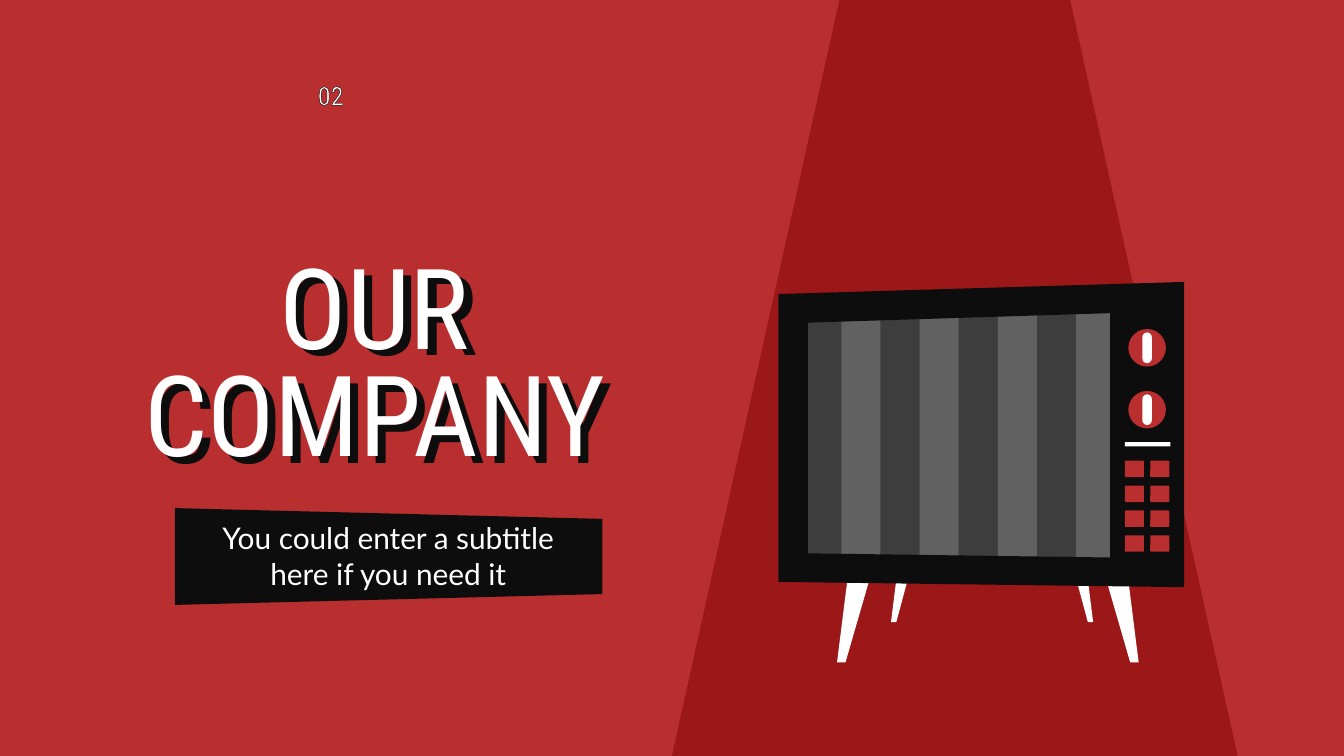
from lxml.etree import SubElement
from pptx import Presentation
from pptx.dml.color import RGBColor
from pptx.enum.shapes import MSO_SHAPE
from pptx.enum.text import MSO_ANCHOR, MSO_AUTO_SIZE, PP_ALIGN
from pptx.oxml import parse_xml
from pptx.oxml.ns import nsdecls, qn
from pptx.util import Cm, Pt

THEME = {
    "red": "B92F2F", "beam": "9C1717", "ink": "0D0D0D", "white": "FFFFFF",
    "dark": "3D3D3D", "light": "616161",
    "title": {"name": "Roboto Condensed", "size": Pt(60), "bold": False},
    "subtitle": {"name": "Lato", "size": Pt(16)},
    "number": {"name": "Roboto Condensed", "size": Pt(14)},
}
SIZE = (25.4, 14.29)

TITLE = ("OUR COMPANY", (1.02, 5.72, 12.12, 2.57))
SUBTITLE = ("You could enter a subtitle here if you need it", (3.58, 9.8, 7.52, 1.42))
NUMBER = ("02", (5.16, 1.37, 2.18, 4.57))
BEAM = (12.7, 0, 10.69, 14.29)
BANNER = (6.43, 6.48, 1.83, 8.08)

STRIPES = {"left": 15.16, "top": 5.87, "width": 0.75, "height": 4.85, "step": 0.74, "count": 8}
LEGS = [
    (18.67, [(16.05, 10.69), (15.82, 12.52), (15.98, 12.52), (16.51, 10.69)]),
    (18.75, [(16.97, 10.72), (16.84, 11.76), (16.94, 11.76), (17.22, 10.72)]),
]
CASE = [(22.38, 5.33), (14.71, 5.56), (14.71, 11), (22.38, 11.1)]
SCREEN = [(20.98, 5.92), (20.98, 10.54), (15.27, 10.46), (15.27, 6.1)]
KNOB_CENTER, KNOB_TOPS, KNOB_SIZE = 21.68, (6.22, 7.39), 0.71
POINTER = (0.18, 0.58)
BUTTON_LEFTS, BUTTON_TOP, BUTTON_STEP, BUTTON_ROWS = (21.26, 21.74), 8.71, 0.47, 4
BUTTON = (0.36, 0.31)
DIVIDER = (21.26, 8.36, 0.86, 0.08)


def paint(sp, color):
    sp.shadow.inherit = False
    sp.fill.solid()
    sp.fill.fore_color.rgb = RGBColor.from_string(THEME[color])
    sp.line.fill.background()


def add_shape(shapes, kind, box, color, adj=None):
    sp = shapes.add_shape(kind, *map(Cm, box))
    if adj is not None:
        sp.adjustments[0] = adj
    paint(sp, color)
    return sp


def add_outline(shapes, color, *contours):
    builder = None
    for points in contours:
        start, *rest = [(Cm(x), Cm(y)) for x, y in points]
        if builder is None:
            builder = shapes.build_freeform(*start, scale=1.0)
        else:
            builder.move_to(*start)
        builder.add_line_segments(rest, close=True)
    paint(builder.convert_to_shape(), color)


def write(sp, text, style, anchor, inset):
    tf = sp.text_frame
    frame = {"word_wrap": True, "auto_size": MSO_AUTO_SIZE.NONE, "vertical_anchor": anchor}
    for side in ("left", "right", "top", "bottom"):
        frame[f"margin_{side}"] = Cm(inset)
    for name, value in frame.items():
        setattr(tf, name, value)
    p = tf.paragraphs[0]
    p.alignment = PP_ALIGN.CENTER
    r = p.add_run()
    r.text = text
    for name, value in THEME[style].items():
        setattr(r.font, name, value)
    r.font.color.rgb = RGBColor.from_string(THEME["white"])
    return p, r


def add_text(shapes, content, style, anchor, inset):
    text, box = content
    return write(shapes.add_textbox(*map(Cm, box)), text, style, anchor, inset)


def add_title(s):
    text, box = TITLE
    sp = s.shapes.title
    for name, value in zip(("left", "top", "width", "height"), box):
        setattr(sp, name, Cm(value))
    p, r = write(sp, text, "title", MSO_ANCHOR.MIDDLE, 0.25)
    p.line_spacing = 0.8
    effects = SubElement(sp._element.spPr, qn("a:effectLst"))
    shadow = SubElement(effects, qn("a:outerShdw"), dist=str(Cm(0.2)), dir=str(40 * 60000),
                        algn="bl", rotWithShape="0")
    SubElement(shadow, qn("a:srgbClr"), val=THEME["ink"])


def add_number(s):
    p, r = add_text(s.shapes, NUMBER, "number", MSO_ANCHOR.TOP, 0.13)
    r.font._element.insert(0, parse_xml(
        f'<a:ln {nsdecls("a")} w="{Pt(1.5)}"><a:solidFill>'
        f'<a:srgbClr val="{THEME["ink"]}"/></a:solidFill></a:ln>'))


def add_television(s):
    tv = s.shapes.add_group_shape().shapes
    for i in range(STRIPES["count"]):
        box = (STRIPES["left"] + i * STRIPES["step"], STRIPES["top"],
               STRIPES["width"], STRIPES["height"])
        add_shape(tv, MSO_SHAPE.RECTANGLE, box, ("dark", "light")[i % 2])
    for axis, leg in LEGS:
        add_outline(tv, "white", leg)
        add_outline(tv, "white", [(2 * axis - x, y) for x, y in leg])
    add_outline(tv, "ink", SCREEN, CASE)
    w, h = POINTER
    for top in KNOB_TOPS:
        knob = (KNOB_CENTER - KNOB_SIZE / 2, top, KNOB_SIZE, KNOB_SIZE)
        pointer = (KNOB_CENTER - w / 2, top + (KNOB_SIZE - h) / 2, w, h)
        add_shape(tv, MSO_SHAPE.OVAL, knob, "red")
        add_shape(tv, MSO_SHAPE.ROUNDED_RECTANGLE, pointer, "white", 0.5)
    for row in range(BUTTON_ROWS):
        for left in BUTTON_LEFTS:
            box = (left, BUTTON_TOP + row * BUTTON_STEP, *BUTTON)
            add_shape(tv, MSO_SHAPE.ROUNDED_RECTANGLE, box, "red", 0.06)
    add_shape(tv, MSO_SHAPE.RECTANGLE, DIVIDER, "white")


def main():
    prs = Presentation()
    prs.slide_width, prs.slide_height = map(Cm, SIZE)
    s = prs.slides.add_slide(prs.slide_layouts[5])
    s.background.fill.solid()
    s.background.fill.fore_color.rgb = RGBColor.from_string(THEME["red"])
    add_shape(s.shapes, MSO_SHAPE.TRAPEZOID, BEAM, "beam", 0.296)
    add_shape(s.shapes, MSO_SHAPE.TRAPEZOID, BANNER, "ink", 0.112).rotation = 90
    add_title(s)
    add_text(s.shapes, SUBTITLE, "subtitle", MSO_ANCHOR.MIDDLE, 0.25)
    add_number(s)
    add_television(s)
    prs.save("out.pptx")


if __name__ == "__main__":
    main()
